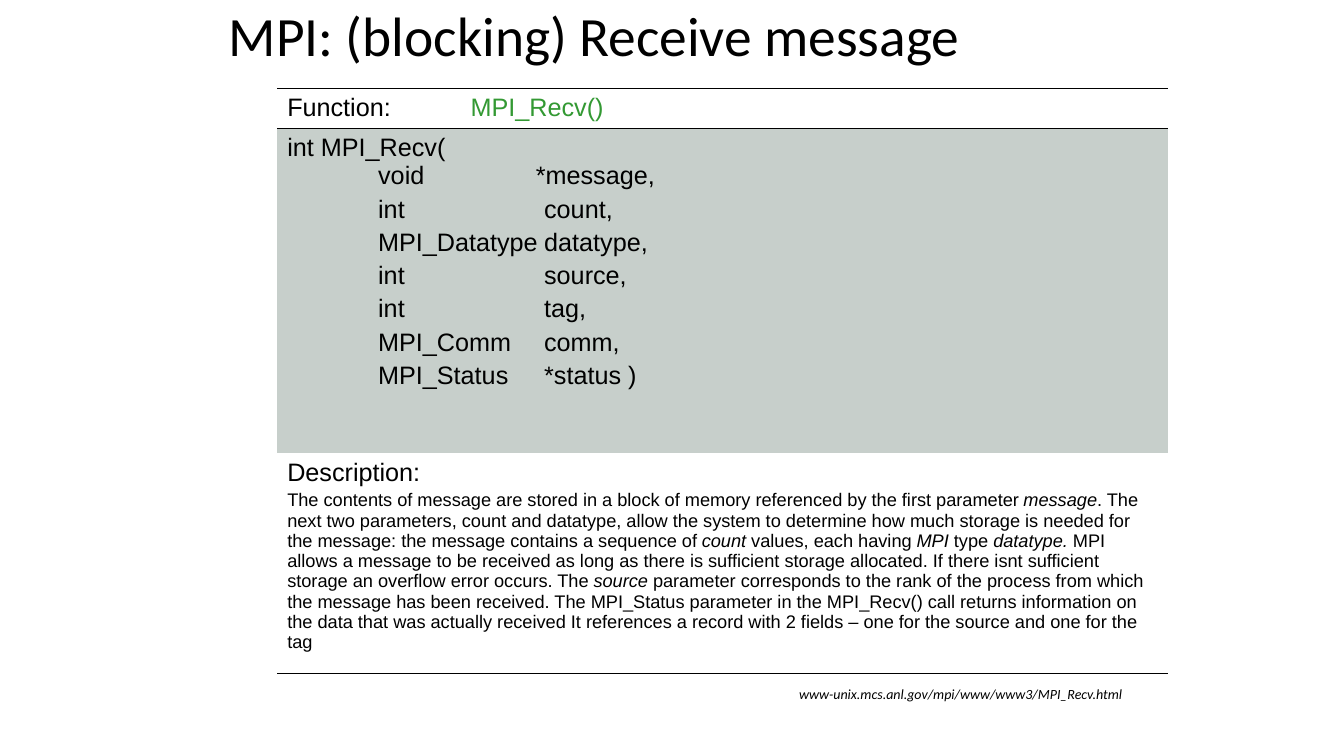
from dataclasses import dataclass
from lxml.etree import SubElement as Sub
from pptx import Presentation as Deck
from pptx.dml.color import RGBColor as Rgb
from pptx.enum.text import MSO_ANCHOR as Anchor, MSO_AUTO_SIZE as Fit, PP_ALIGN as Align
from pptx.oxml.ns import qn
from pptx.util import Pt


@dataclass(frozen=True)
class Theme:
    ink: str = "000000"
    green: str = "339933"
    gray: str = "C7CFCB"
    head: str = "Calibri"
    body: str = "Arial"
    title: float = 39.6
    text: float = 18
    small: float = 13
    note: float = 10
    gap: float = 0.2


LOOK = Theme()
INDENT = " " * 13
ARGS = [
    ("void", "*message,"),
    ("int", "count,"),
    ("MPI_Datatype", "datatype,"),
    ("int", "source,"),
    ("int", "tag,"),
    ("MPI_Comm", "comm,"),
    ("MPI_Status", "*status )"),
]
ABOUT = (
    "The contents of message are stored in a block of memory referenced by the first "
    "parameter |message|. The next two parameters, count and datatype, allow the system "
    "to determine how much storage is needed for the message: the message contains a "
    "sequence of |count |values, each having |MPI| type |datatype. |MPI allows a message "
    "to be received as long as there is sufficient storage allocated. If there isnt "
    "sufficient storage an overflow error occurs. The |source |parameter corresponds to "
    "the rank of the process from which the message has been received. The MPI_Status "
    "parameter in the MPI_Recv() call returns information on the data that was actually "
    "received It references a record with 2 fields – one for the source and one for the tag"
)


def write(frame, text, size=LOOK.text, font=LOOK.body, color=LOOK.ink,
          slant=False, stop=None, lead=None):
    """Add a paragraph; bars toggle italics, and stop sets a tab in points."""
    para = frame.paragraphs[0]
    if para.runs:
        para = frame.add_paragraph()
        para.space_before = Pt(round(size * LOOK.gap, 1))
    para.alignment = Align.LEFT
    if lead:
        para.line_spacing = lead
    if stop:
        tabs = Sub(para._p.get_or_add_pPr(), qn("a:tabLst"))
        Sub(tabs, qn("a:tab"), pos=str(Pt(stop)), algn="l")
    for part, piece in enumerate(text.split("|")):
        for row, line in enumerate(piece.split("\n")):
            if row:
                para.add_line_break()
            run = para.add_run()
            run.text = line
            run.font.size = Pt(size)
            run.font.name = font
            run.font.italic = slant or part % 2 == 1
            run.font.color.rgb = Rgb.from_string(color)


class Page:
    def __init__(self, deck, look):
        self.look = look
        self.slide = deck.slides.add_slide(deck.slide_layouts[5])

    def title(self, text, *box):
        shape = self.slide.shapes.title
        shape.left, shape.top, shape.width, shape.height = map(Pt, box)
        frame = shape.text_frame
        frame.auto_size = Fit.NONE
        frame.vertical_anchor = Anchor.MIDDLE
        write(frame, text, size=self.look.title, font=self.look.head, lead=0.9)

    def note(self, text, *box):
        frame = self.slide.shapes.add_textbox(*map(Pt, box)).text_frame
        frame.word_wrap = True
        frame.auto_size = Fit.SHAPE_TO_FIT_TEXT
        write(frame, text, size=self.look.note, font=self.look.head, slant=True)

    def border(self, cell, sides):
        """Rule the given sides of a cell and clear the others."""
        props = cell._tc.get_or_add_tcPr()
        for side in "LRTB":
            line = Sub(props, qn(f"a:ln{side}"), w=str(Pt(1)))
            if side in sides:
                fill = Sub(line, qn("a:solidFill"))
                Sub(fill, qn("a:srgbClr"), val=self.look.ink)
            else:
                Sub(line, qn("a:noFill"))

    def table(self, left, top, cols, rows, rules, fills):
        grid = self.slide.shapes.add_table(
            len(rows), len(cols), Pt(left), Pt(top), Pt(sum(cols)), Pt(sum(rows))).table
        grid.first_row = grid.horz_banding = False
        for col, width in zip(grid.columns, cols):
            col.width = Pt(width)
        for row, high, sides, fill in zip(grid.rows, rows, rules, fills):
            row.height = Pt(high)
            for cell in row.cells:
                self.border(cell, sides)
                if fill:
                    cell.fill.solid()
                    cell.fill.fore_color.rgb = Rgb.from_string(fill)
                else:
                    cell.fill.background()
        return grid


def main():
    deck = Deck()
    deck.slide_width, deck.slide_height = Pt(960), Pt(540)
    page = Page(deck, LOOK)
    page.title("MPI: (blocking) Receive message", 156.2, 5.8, 653.8, 43.9)

    grid = page.table(198, 63.2, cols=(131, 505), rows=(28.8, 231.8, 157),
                      rules=("TB", "T", "B"), fills=(None, LOOK.gray, None))
    for row in (1, 2):
        grid.cell(row, 0).merge(grid.cell(row, 1))
    write(grid.cell(0, 0).text_frame, "Function:")
    write(grid.cell(0, 1).text_frame, "MPI_Recv()", color=LOOK.green)

    code = grid.cell(1, 0).text_frame
    for num, (kind, name) in enumerate(ARGS):
        start = "" if num else "int MPI_Recv(\n"
        write(code, f"{start}{INDENT}{kind}\t{name}", stop=183.5 if num else 177.5)

    about = grid.cell(2, 0).text_frame
    write(about, "Description:")
    write(about, ABOUT, size=LOOK.small)

    page.note("www-unix.mcs.anl.gov/mpi/www/www3/MPI_Recv.html", 563.8, 486, 360, 19.4)
    deck.save("out.pptx")


if __name__ == "__main__":
    main()
